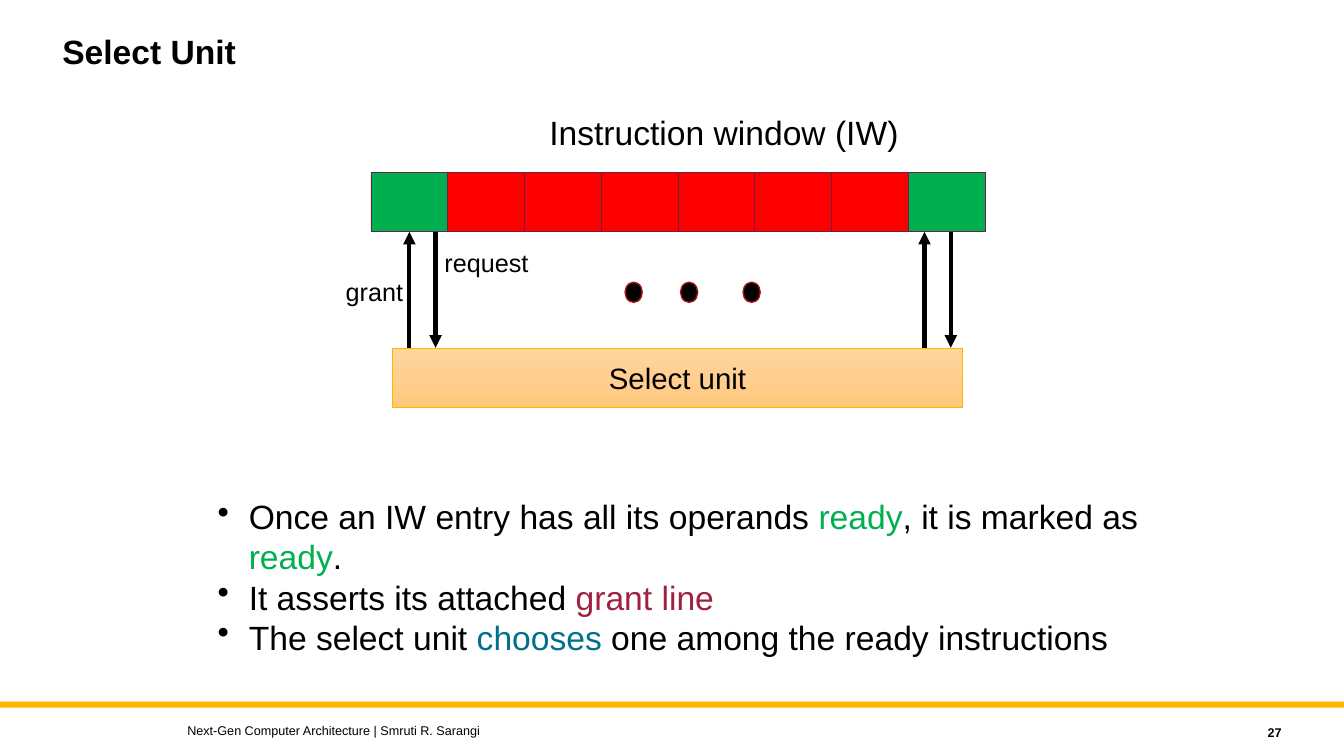
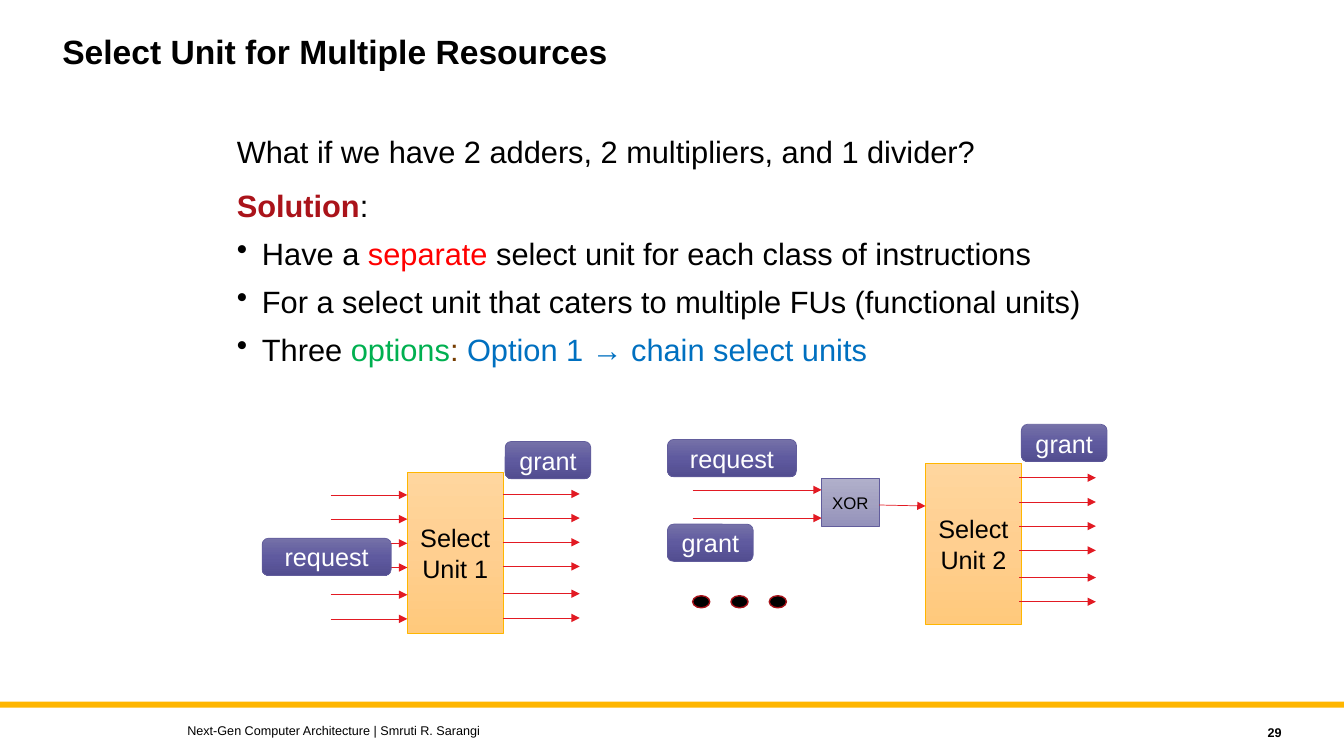
from copy import deepcopy
from dataclasses import dataclass

from pptx import Presentation
from pptx.dml.color import RGBColor
from pptx.enum.shapes import MSO_CONNECTOR, MSO_SHAPE
from pptx.enum.text import MSO_ANCHOR, PP_ALIGN
from pptx.oxml.ns import qn
from pptx.util import Inches, Pt


@dataclass(frozen=True)
class Theme:
    font: str = "Arial"
    # Colours
    black: str = "000000"
    white: str = "FFFFFF"
    band: str = "FFB600"
    green: str = "00B050"
    red: str = "FF0000"
    crimson: str = "AA131A"
    maroon: str = "9F2241"
    teal: str = "01708C"
    blue: str = "0070C0"
    brown: str = "763C00"
    arrow: str = "E21A23"
    cell_line: str = "692146"
    dot_line: str = "A7131A"
    purple_line: str = "625D9C"
    # Gradients, top to bottom
    orange: tuple = ("FFD69E", "FFCF90", "FFC97C")
    purple: tuple = ("7571A8", "5F5A9F", "524D90")
    lilac: tuple = ("B0AFCA", "A4A2C2", "9492BB")
    # Type sizes
    heading: int = 24
    body: int = 22
    block: int = 21
    label: int = 18
    gate: int = 12
    footer: int = 9
    leading: float = 1.2


class Deck:
    def __init__(self, theme):
        self.t = theme
        self.prs = Presentation()
        self.prs.slide_width, self.prs.slide_height = Inches(13.33), Inches(7.5)
        self.s = None

    def slide(self, title, number):
        """Start a slide with the shared title, band and footer."""
        t = self.t
        self.s = self.prs.slides.add_slide(self.prs.slide_layouts[6])
        self.shape(MSO_SHAPE.RECTANGLE, 0, 6.96, 13.33, 0.06, t.band)
        tf = self.text(title, 0.52, 0.3, 10, 0.9, t.heading, bold=True, wrap=True)
        tf.paragraphs[0].line_spacing = 0.9
        foot = self.text("Next-Gen Computer Architecture | Smruti R. Sarangi",
                         1.76, 7.12, 8, 0.25, t.footer)
        page = self.text(str(number), 11.41, 7.14, 1.4, 0.25, t.footer,
                         bold=True, wrap=True)
        page.paragraphs[0].alignment = PP_ALIGN.RIGHT
        foot.vertical_anchor = page.vertical_anchor = MSO_ANCHOR.MIDDLE

    def style(self, r, size, color, bold=False):
        r.font.name, r.font.size, r.font.bold = self.t.font, Pt(size), bold
        r.font.color.rgb = RGBColor.from_string(color)

    def text(self, text, x, y, w, h, size, bold=False, wrap=False):
        tf = self.s.shapes.add_textbox(*map(Inches, (x, y, w, h))).text_frame
        tf.word_wrap = wrap
        tf.text = text
        self.style(tf.paragraphs[0].runs[0], size, self.t.black, bold)
        return tf

    def rich_text(self, paragraphs, x, y, w, h, size, indent):
        """Each paragraph is (bulleted, space before, [(text, colour, bold)])."""
        tf = self.s.shapes.add_textbox(*map(Inches, (x, y, w, h))).text_frame
        tf.word_wrap = True
        for i, (bulleted, before, pieces) in enumerate(paragraphs):
            p = tf.add_paragraph() if i else tf.paragraphs[0]
            p.line_spacing, p.space_before = Pt(size * self.t.leading), Pt(before)
            if bulleted:
                pPr = p._p.get_or_add_pPr()
                pPr.set("marL", str(Inches(indent)))
                pPr.set("indent", str(-Inches(indent)))
                bullet = pPr.makeelement(qn("a:buChar"), {"char": "•"})
                pPr.append(bullet)
            for text, color, bold in pieces:
                if text == "\n":
                    p.add_line_break()
                    continue
                r = p.add_run()
                r.text = text
                self.style(r, size, color, bold)

    def shape(self, kind, x, y, w, h, fill, line=None, weight=0.5):
        sp = self.s.shapes.add_shape(kind, *map(Inches, (x, y, w, h)))
        sp.shadow.inherit = False
        if isinstance(fill, tuple):
            self.gradient(sp, fill)
        else:
            sp.fill.solid()
            sp.fill.fore_color.rgb = RGBColor.from_string(fill)
        if line:
            sp.line.color.rgb = RGBColor.from_string(line)
            sp.line.width = Pt(weight)
        else:
            sp.line.fill.background()
        return sp

    def gradient(self, sp, colors):
        sp.fill.gradient()
        sp.fill.gradient_angle = 270
        stops = sp._element.spPr.find(".//" + qn("a:gsLst"))
        stops.insert(1, deepcopy(stops[0]))
        for i, (stop, color) in enumerate(zip(sp.fill.gradient_stops, colors)):
            stop.color.rgb = RGBColor.from_string(color)
            stop.position = i / 2

    def box(self, text, x, y, w, h, fill, line, size, color=None,
            kind=MSO_SHAPE.RECTANGLE):
        """A gradient box with centred text."""
        tf = self.shape(kind, x, y, w, h, fill, line).text_frame
        tf.word_wrap = True
        tf.vertical_anchor = MSO_ANCHOR.MIDDLE
        tf.text = text
        for p in tf.paragraphs:
            p.alignment = PP_ALIGN.CENTER
            p.line_spacing = Pt(size * self.t.leading)
            self.style(p.runs[0], size, color or self.t.black)

    def select_unit(self, text, x, y, w, h, size):
        self.box(text, x, y, w, h, self.t.orange, self.t.band, size)

    def tag(self, text, x, y):
        w = 1.28 if text == "request" else 0.85
        self.box(text, x, y, w, 0.37, self.t.purple, self.t.purple_line,
                 self.t.label, self.t.white, MSO_SHAPE.ROUNDED_RECTANGLE)

    def dot(self, x, y, h):
        self.shape(MSO_SHAPE.OVAL, x, y, 0.17, h, self.t.black, self.t.dot_line, 1)

    def arrow(self, x1, y1, x2, y2, color, weight):
        c = self.s.shapes.add_connector(MSO_CONNECTOR.STRAIGHT,
                                        *map(Inches, (x1, y1, x2, y2)))
        c.line.color.rgb = RGBColor.from_string(color)
        c.line.width = Pt(weight)
        ln = c.line._get_or_add_ln()
        ln.append(ln.makeelement(qn("a:tailEnd"), {"type": "triangle"}))
        spPr = c._element.spPr
        spPr.append(spPr.makeelement(qn("a:effectLst"), {}))

    def wire(self, x1, y1, x2, y2):
        self.arrow(x1, y1, x2, y2, self.t.arrow, 0.5)

    def wire_group(self, x, top):
        """Six signal lines in two groups, four above two."""
        for offset in (0, 0.24, 0.48, 0.72, 0.99, 1.23):
            self.wire(x, top + offset, x + 0.76, top + offset)


def select_slide(d):
    t = d.t
    d.slide("Select Unit", 27)

    # Instruction window
    d.text("Instruction window (IW)", 5.35, 1.06, 3.7, 0.5, t.heading)
    cells = 8
    cell_w = 6.09 / cells
    for i in range(cells):
        fill = t.green if i in (0, cells - 1) else t.red
        d.shape(MSO_SHAPE.RECTANGLE, 3.68 + i * cell_w, 1.71, cell_w, 0.59,
                fill, t.cell_line)

    # Select unit with its grant and request lines
    d.select_unit("Select unit", 3.89, 3.46, 5.66, 0.58, t.block)
    for x in (4.06, 9.17):
        d.arrow(x, 3.45, x, 2.3, t.black, 3)
        d.arrow(x + 0.26, 2.3, x + 0.26, 3.45, t.black, 3)
    for x in (6.2, 6.75, 7.37):
        d.dot(x, 2.8, 0.2)
    d.text("grant", 3.33, 2.69, 0.78, 0.4, t.label)
    d.text("request", 4.31, 2.4, 1.04, 0.4, t.label)

    # Explanation
    d.rich_text([
        (True, 0, [("Once an IW entry has all its operands ", t.black, False),
                   ("ready", t.green, False),
                   (", it is marked as", t.black, False),
                   ("\n", t.black, False),
                   ("ready", t.green, False), (".", t.black, False)]),
        (True, 0, [("It asserts its attached ", t.black, False),
                   ("grant line", t.maroon, False)]),
        (True, 0, [("The select unit ", t.black, False),
                   ("chooses", t.teal, False),
                   (" one among the ready instructions", t.black, False)]),
    ], 2.06, 4.87, 9.4, 1.75, t.heading, 0.31)


def resources_slide(d):
    t = d.t
    d.slide("Select Unit for Multiple Resources", 29)

    # Question and solution
    d.rich_text([
        (False, 0, [("What if we have 2 adders, 2 multipliers, and 1 divider?",
                     t.black, False)]),
        (False, 12, [("Solution", t.crimson, True), (":", t.black, False)]),
        (True, 8, [("Have a ", t.black, False), ("separate", t.red, False),
                   (" select unit for each class of instructions", t.black, False)]),
        (True, 8, [("For a select unit that caters to multiple FUs (functional units)",
                    t.black, False)]),
        (True, 8, [("Three ", t.black, False), ("options", t.green, False),
                   (": ", t.brown, False),
                   ("Option 1 → chain select units", t.blue, False)]),
    ], 2.25, 1.27, 9.42, 2.6, t.body, 0.25)

    # First select unit
    d.select_unit("Select\nUnit 1", 4.04, 4.69, 0.95, 1.59, t.label)
    d.wire_group(3.28, 4.91)
    d.wire_group(4.99, 4.9)
    d.tag("request", 2.6, 5.34)
    d.tag("grant", 5.01, 4.38)

    # Gate that masks granted requests
    for y in (4.86, 5.14):
        d.wire(6.87, y, 8.15, y)
    d.tag("request", 6.62, 4.36)
    d.tag("grant", 6.62, 5.2)
    for i in range(3):
        d.dot(6.87 + i * 0.38, 5.91, 0.12)
    d.box("XOR", 8.15, 4.75, 0.57, 0.47, t.lilac, t.purple_line, t.gate)

    # Second select unit
    d.select_unit("Select\nUnit 2", 9.18, 4.6, 0.95, 1.59, t.label)
    d.wire(8.72, 5.01, 9.18, 5.02)
    d.wire_group(10.11, 4.74)
    d.tag("grant", 10.13, 4.21)


def main():
    d = Deck(Theme())
    select_slide(d)
    resources_slide(d)
    d.prs.save("out.pptx")


if __name__ == "__main__":
    main()
